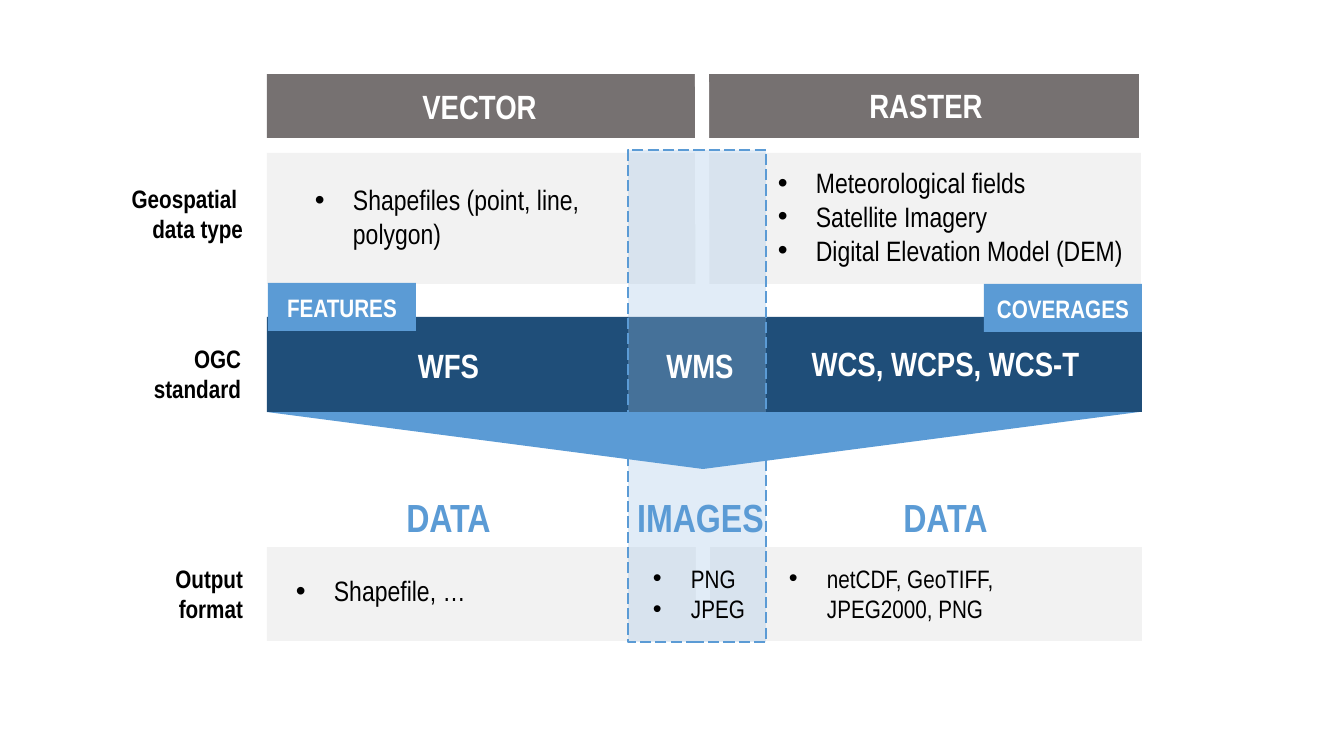
from lxml import etree
from pptx import Presentation
from pptx.dml.color import RGBColor
from pptx.enum.dml import MSO_LINE
from pptx.enum.shapes import MSO_CONNECTOR, MSO_SHAPE
from pptx.enum.text import MSO_ANCHOR, MSO_AUTO_SIZE, PP_ALIGN
from pptx.oxml.ns import qn
from pptx.util import Emu, Pt

RECT, TRIANGLE = MSO_SHAPE.RECTANGLE, MSO_SHAPE.ISOSCELES_TRIANGLE
LEFT, CENTER, RIGHT = PP_ALIGN.LEFT, PP_ALIGN.CENTER, PP_ALIGN.RIGHT
MIDDLE, TOP = MSO_ANCHOR.MIDDLE, MSO_ANCHOR.TOP
STRAIGHT, LONG_DASH = MSO_CONNECTOR.STRAIGHT, MSO_LINE.LONG_DASH
FIT_SHAPE = MSO_AUTO_SIZE.SHAPE_TO_FIT_TEXT

WHITE = RGBColor(0xFF, 0xFF, 0xFF)
BLACK = RGBColor(0x00, 0x00, 0x00)
GRAY = RGBColor(0x76, 0x71, 0x71)
PALE = RGBColor(0xF2, 0xF2, 0xF2)
NAVY = RGBColor(0x1F, 0x4E, 0x79)
BLUE = RGBColor(0x5B, 0x9B, 0xD5)
SKY = RGBColor(0x9D, 0xC3, 0xE6)

FONT = "Arial Narrow"
PX = 914400 / 100.8
SLIDE_SIZE = (1344, 756)
BULLET_INDENT = 38
OVERLAY_OPACITY = 30

# Rows of the diagram: top, height, fill, width
GRID_LEFT = 267
HEADER = (74, 64, GRAY, 872)
DATA_TYPES = (153, 131, PALE, 874)
OUTPUTS = (547, 94, PALE, 875)
STANDARDS = (317, 95, NAVY, 875)
DIVIDER = (702, 74, 703, 620)
WMS_COLUMN = (628, 150, 138, 492)
ARROW = (GRID_LEFT, 412, 872, 57)

# Text groups: size, colour, bold, alignment, entries (box, lines)
HEADINGS = (24, WHITE, True, CENTER, [
    ((267, 81, 425, 50), ["VECTOR"]),
    ((713, 80, 426, 50), ["RASTER"]),
    ((267, 340, 363, 50), ["WFS"]),
    ((639, 340, 122, 50), ["WMS"]),
    ((752, 338, 387, 50), ["WCS, WCPS, WCS-T"]),
])
ROW_LABELS = (18, BLACK, True, RIGHT, [
    ((118, 178, 135, 72), ["Geospatial ", "data type"]),
    ((116, 338, 135, 72), ["OGC standard"]),
    ((118, 558, 135, 72), ["Output format"]),
])
OUTPUT_KINDS = (28, BLUE, True, CENTER, [
    ((267, 488, 363, 57), ["DATA"]),
    ((623, 488, 155, 57), ["IMAGES"]),
    ((752, 488, 387, 57), ["DATA"]),
])
LARGE_BULLETS = (20, BLACK, False, LEFT, [
    ((305, 178, 308, 78), ["Shapefiles (point, line, polygon)"]),
    ((768, 161, 373, 112), ["Meteorological fields", "Satellite Imagery",
                            "Digital Elevation Model (DEM)"]),
    ((286, 569, 308, 44), ["Shapefile, …"]),
])
SMALL_BULLETS = (18, BLACK, False, LEFT, [
    ((643, 558, 119, 72), ["PNG", "JPEG"]),
    ((779, 558, 308, 72), ["netCDF, GeoTIFF, JPEG2000, PNG"]),
])
TAGS = [((268, 283, 148, 48), "FEATURES"), ((984, 284, 158, 48), "COVERAGES")]


def px(*lengths):
    """Turn pixel lengths into EMU."""
    return [Emu(round(length * PX)) for length in lengths]


def add_block(slide, kind, box, fill):
    """Add a filled shape without outline or shadow."""
    block = slide.shapes.add_shape(kind, *px(*box))
    block.shadow.inherit = False
    block.fill.solid()
    block.fill.fore_color.rgb = fill
    block.line.fill.background()
    return block


def add_band(slide, row):
    """Add one full-width row of the diagram."""
    top, height, fill, width = row
    add_block(slide, RECT, (GRID_LEFT, top, width, height), fill)


def add_divider(slide):
    """Add the white gap between the vector and raster sides."""
    divider = slide.shapes.add_connector(STRAIGHT, *px(*DIVIDER))
    divider.line.color.rgb = WHITE
    divider.line.width = Pt(10)
    etree.SubElement(divider.element.spPr, qn("a:effectLst"))


def add_overlay(slide):
    """Add the translucent dashed column shared by both sides."""
    overlay = add_block(slide, RECT, WMS_COLUMN, SKY)
    color = overlay.element.spPr.find(qn("a:solidFill"))[0]
    etree.SubElement(color, qn("a:alpha"), val=str(OVERLAY_OPACITY * 1000))
    overlay.line.color.rgb = BLUE
    overlay.line.width = Pt(1)
    overlay.line.dash_style = LONG_DASH


def add_bullet(paragraph):
    """Give a paragraph a hanging round bullet."""
    indent = px(BULLET_INDENT)[0]
    properties = paragraph._p.get_or_add_pPr()
    properties.set("marL", str(indent))
    properties.set("indent", str(-indent))
    etree.SubElement(properties, qn("a:buFont"), typeface="Arial")
    etree.SubElement(properties, qn("a:buChar"), char="•")


def write(frame, lines, size, color, bold, align, anchor=TOP):
    """Fill a text frame, one paragraph per line; left-aligned lines are bulleted."""
    frame.word_wrap = True
    frame.vertical_anchor = anchor
    for index, line in enumerate(lines):
        paragraph = frame.add_paragraph() if index else frame.paragraphs[0]
        paragraph.alignment = align
        if align == LEFT:
            add_bullet(paragraph)
        run = paragraph.add_run()
        run.text = line
        run.font.name = FONT
        run.font.size = Pt(size)
        run.font.bold = bold
        run.font.color.rgb = color


def add_texts(slide, group):
    """Add every text box of a group in its shared style."""
    *style, entries = group
    for box, lines in entries:
        frame = slide.shapes.add_textbox(*px(*box)).text_frame
        write(frame, lines, *style)
        frame.auto_size = FIT_SHAPE


def main():
    """Build and save the slide."""
    deck = Presentation()
    deck.slide_width, deck.slide_height = px(*SLIDE_SIZE)
    slide = deck.slides.add_slide(deck.slide_layouts[6])

    for row in (HEADER, DATA_TYPES, OUTPUTS):
        add_band(slide, row)
    add_divider(slide)
    add_band(slide, STANDARDS)
    add_overlay(slide)
    add_block(slide, TRIANGLE, ARROW, BLUE).rotation = 180
    for group in (HEADINGS, ROW_LABELS, OUTPUT_KINDS, LARGE_BULLETS, SMALL_BULLETS):
        add_texts(slide, group)
    for box, tag in TAGS:
        block = add_block(slide, RECT, box, BLUE)
        write(block.text_frame, [tag], 18, WHITE, True, CENTER, MIDDLE)

    deck.save("out.pptx")


main()
